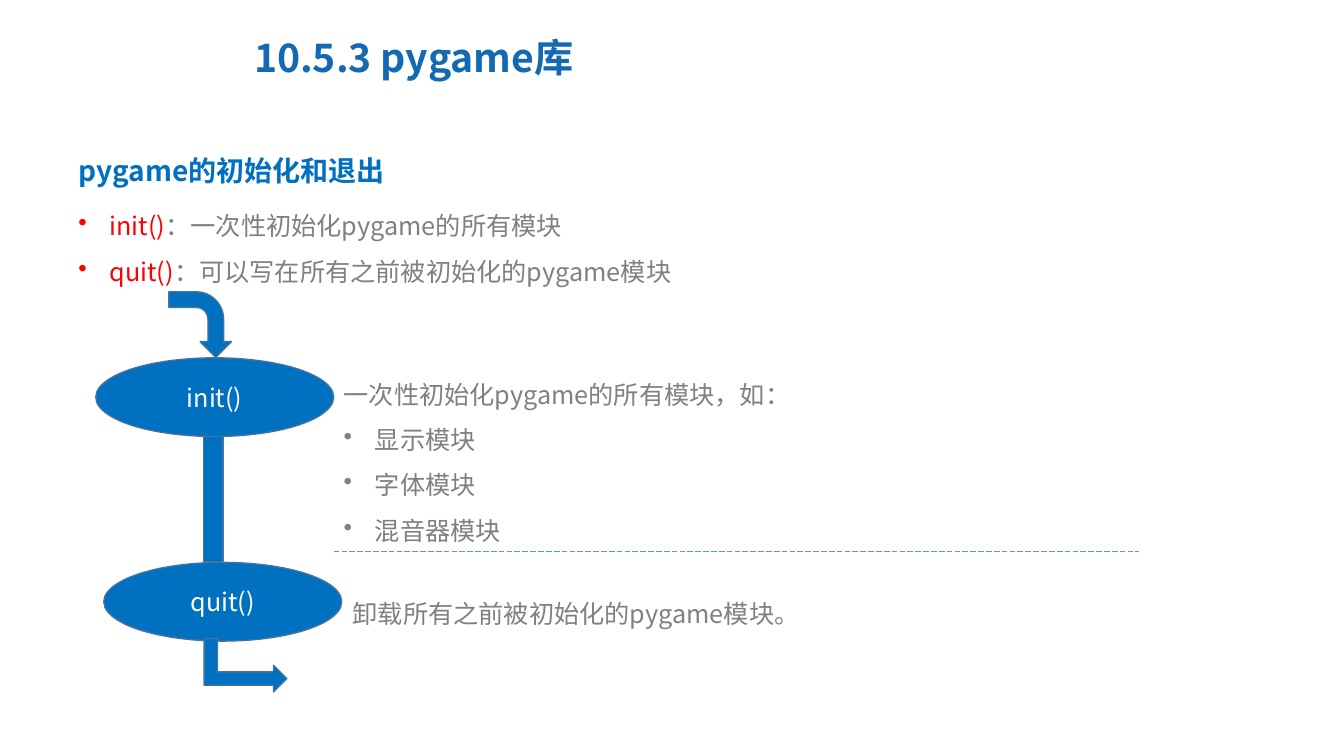
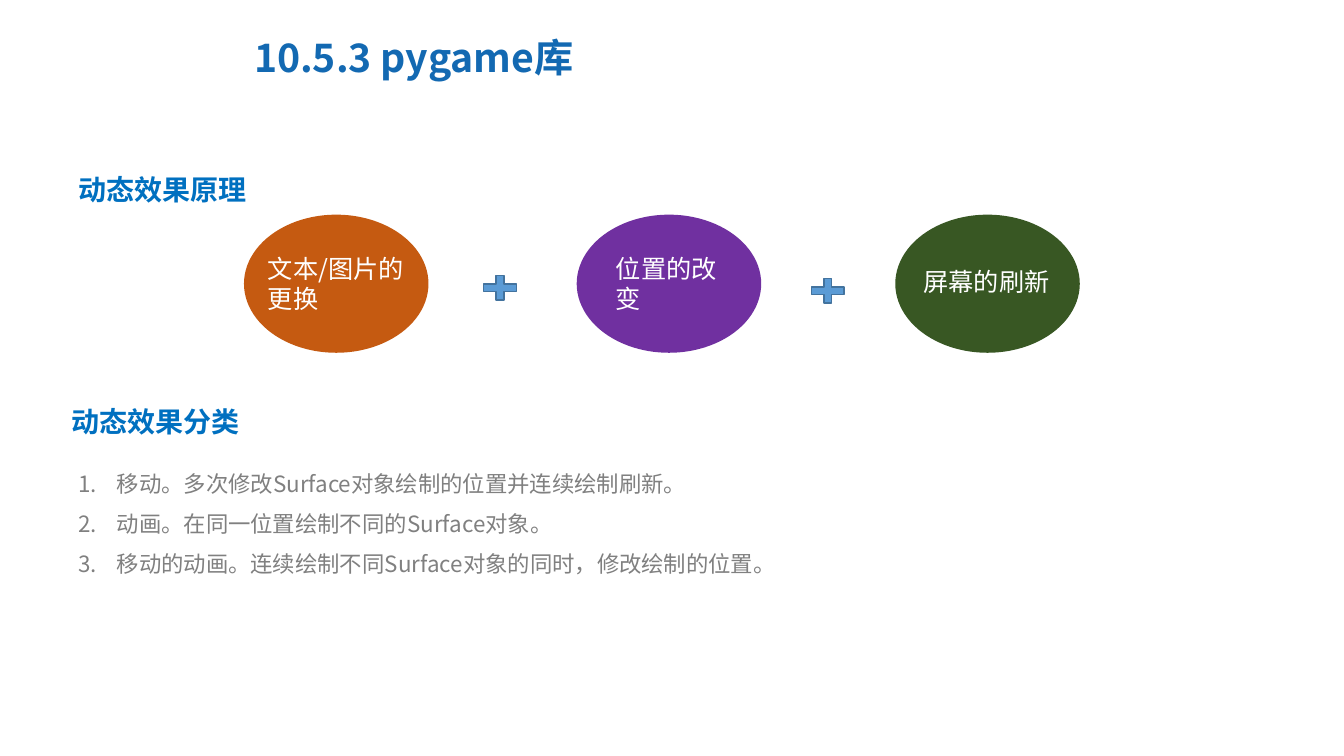
from lxml.etree import SubElement
from pptx import Presentation
from pptx.dml.color import RGBColor
from pptx.enum.dml import MSO_LINE
from pptx.enum.shapes import MSO_CONNECTOR, MSO_SHAPE
from pptx.enum.text import MSO_ANCHOR, PP_ALIGN
from pptx.oxml.ns import qn
from pptx.util import Inches, Pt

FACE = "Noto Sans CJK SC"
NAVY = RGBColor(0x13, 0x69, 0xB2)
BLUE = RGBColor(0x00, 0x70, 0xC0)
SKY = RGBColor(0x5B, 0x9B, 0xD5)
EDGE = RGBColor(0x43, 0x73, 0x9E)
RED = RGBColor(0xFF, 0x00, 0x00)
GRAY = RGBColor(0x80, 0x80, 0x80)
WHITE = RGBColor(0xFF, 0xFF, 0xFF)
RUST = RGBColor(0xC5, 0x5A, 0x11)
PLUM = RGBColor(0x70, 0x30, 0xA0)
MOSS = RGBColor(0x38, 0x57, 0x23)

TITLE = {"size": Pt(28), "bold": True}
HEAD = {"size": Pt(20), "bold": True}
BODY = {"size": Pt(18)}
SMALL = {"size": Pt(16)}
DOT = ("buChar", "char", "•", 0.31)
NUM = ("buAutoNum", "type", "arabicPeriod", 0.38)


def write(frame, lines, style, space=1.5, align=PP_ALIGN.LEFT):
    """Fill a frame; each line is (bullet or None, [(text, colour), ...])."""
    frame.word_wrap = True
    for i, (mark, runs) in enumerate(lines):
        para = frame.add_paragraph() if i else frame.paragraphs[0]
        if mark:
            tag, key, val, gap = mark
            props = para._p.get_or_add_pPr()
            props.set("marL", str(Inches(gap)))
            props.set("indent", str(-Inches(gap)))
            SubElement(props, qn("a:" + tag)).set(key, val)
        para.line_spacing = space
        para.alignment = align
        for text, color in runs:
            run = para.add_run()
            run.text = text
            for key, val in {"name": FACE, **style}.items():
                setattr(run.font, key, val)
            run.font.color.rgb = color
            SubElement(run._r.get_or_add_rPr(), qn("a:ea")).set("typeface", FACE)


def draw(slide, kind, box, fill, edge=None, turn=0):
    """Add a flat preset shape."""
    shape = slide.shapes.add_shape(kind, *map(Inches, box))
    shape.shadow.inherit = False
    shape.rotation = turn
    shape.fill.solid()
    shape.fill.fore_color.rgb = fill
    if edge:
        shape.line.color.rgb = edge
        shape.line.width = Pt(1)
    else:
        shape.line.fill.background()
    return shape


deck = Presentation()
deck.slide_width, deck.slide_height = Inches(13.33), Inches(7.5)

# Shared title
pages = []
for _ in range(2):
    page = deck.slides.add_slide(deck.slide_layouts[5])
    title = page.shapes.title
    title.left, title.top = Inches(2.42), Inches(0.17)
    title.width, title.height = Inches(6.88), Inches(0.85)
    title.text_frame.vertical_anchor = MSO_ANCHOR.MIDDLE
    write(title.text_frame, [(None, [("10.5.3 pygame库", NAVY)])], TITLE, 0.9)
    pages.append(page)
first, second = pages

# Headings and body text of both slides
texts = [
    (first, (0.68, 1.31, 7.25, 0.61), HEAD, [(None, [("pygame的初始化和退出", BLUE)])]),
    (first, (0.68, 1.89, 11.97, 1.01), BODY, [
        (DOT, [("init()", RED), ("：一次性初始化pygame的所有模块", GRAY)]),
        (DOT, [("quit()", RED), ("：可以写在所有之前被初始化的pygame模块", GRAY)]),
    ]),
    (first, (3.31, 3.56, 8.34, 1.92), BODY, [
        (None, [("一次性初始化pygame的所有模块，如：", GRAY)]),
        *[(DOT, [(name, GRAY)]) for name in ("显示模块", "字体模块", "混音器模块")],
    ]),
    (first, (3.4, 5.74, 5.66, 0.5), BODY,
     [(None, [("卸载所有之前被初始化的pygame模块。", GRAY)])]),
    (second, (0.68, 1.5, 5.19, 0.61), HEAD, [(None, [("动态效果原理", BLUE)])]),
    (second, (0.61, 3.8, 6.21, 0.61), HEAD, [(None, [("动态效果分类", BLUE)])]),
    (second, (0.68, 4.48, 11.97, 1.31), SMALL, [(NUM, [(item, GRAY)]) for item in (
        "移动。多次修改Surface对象绘制的位置并连续绘制刷新。",
        "动画。在同一位置绘制不同的Surface对象。",
        "移动的动画。连续绘制不同Surface对象的同时，修改绘制的位置。",
    )]),
]
for page, box, style, lines in texts:
    write(page.shapes.add_textbox(*map(Inches, box)).text_frame, lines, style)

# Slide 1: flow from init() to quit()
draw(first, MSO_SHAPE.BENT_ARROW, (1.66, 2.91, 0.65, 0.62), BLUE, EDGE, 90)
for name, left, top in (("init()", 0.95, 3.55), ("quit()", 1.03, 5.58)):
    oval = draw(first, MSO_SHAPE.OVAL, (left, top, 2.36, 0.78), BLUE, EDGE)
    oval.text_frame.vertical_anchor = MSO_ANCHOR.MIDDLE
    write(oval.text_frame, [(None, [(name, WHITE)])], BODY, 1, PP_ALIGN.CENTER)
draw(first, MSO_SHAPE.FLOWCHART_PROCESS, (2.02, 4.33, 0.19, 1.24), BLUE, EDGE)
draw(first, MSO_SHAPE.BENT_UP_ARROW, (2.17, 6.19, 0.53, 0.82), BLUE, EDGE, 90)

# Slide 1: dashed divider
rule = first.shapes.add_connector(
    MSO_CONNECTOR.STRAIGHT, Inches(3.31), Inches(5.47), Inches(11.3), Inches(5.47))
rule.line.color.rgb = SKY
rule.line.width = Pt(0.5)
rule.line.dash_style = MSO_LINE.LONG_DASH
SubElement(rule._element.spPr, qn("a:effectLst"))

# Slide 2: three ovals with their labels
for left, fill, name, box in (
    (2.42, RUST, "文本/图片的更换", (2.56, 2.46, 1.7, 0.71)),
    (5.72, PLUM, "位置的改变", (6.01, 2.46, 1.36, 0.71)),
    (8.88, MOSS, "屏幕的刷新", (9.06, 2.59, 1.49, 0.4)),
):
    draw(second, MSO_SHAPE.OVAL, (left, 2.13, 1.83, 1.37), fill)
    label = second.shapes.add_textbox(*map(Inches, box))
    write(label.text_frame, [(None, [(name, WHITE)])], BODY, 1)

# Slide 2: plus signs between the ovals
for left, top in ((4.74, 2.69), (7.99, 2.72)):
    draw(second, MSO_SHAPE.MATH_PLUS, (left, top, 0.44, 0.33), SKY, EDGE)

deck.save("out.pptx")
